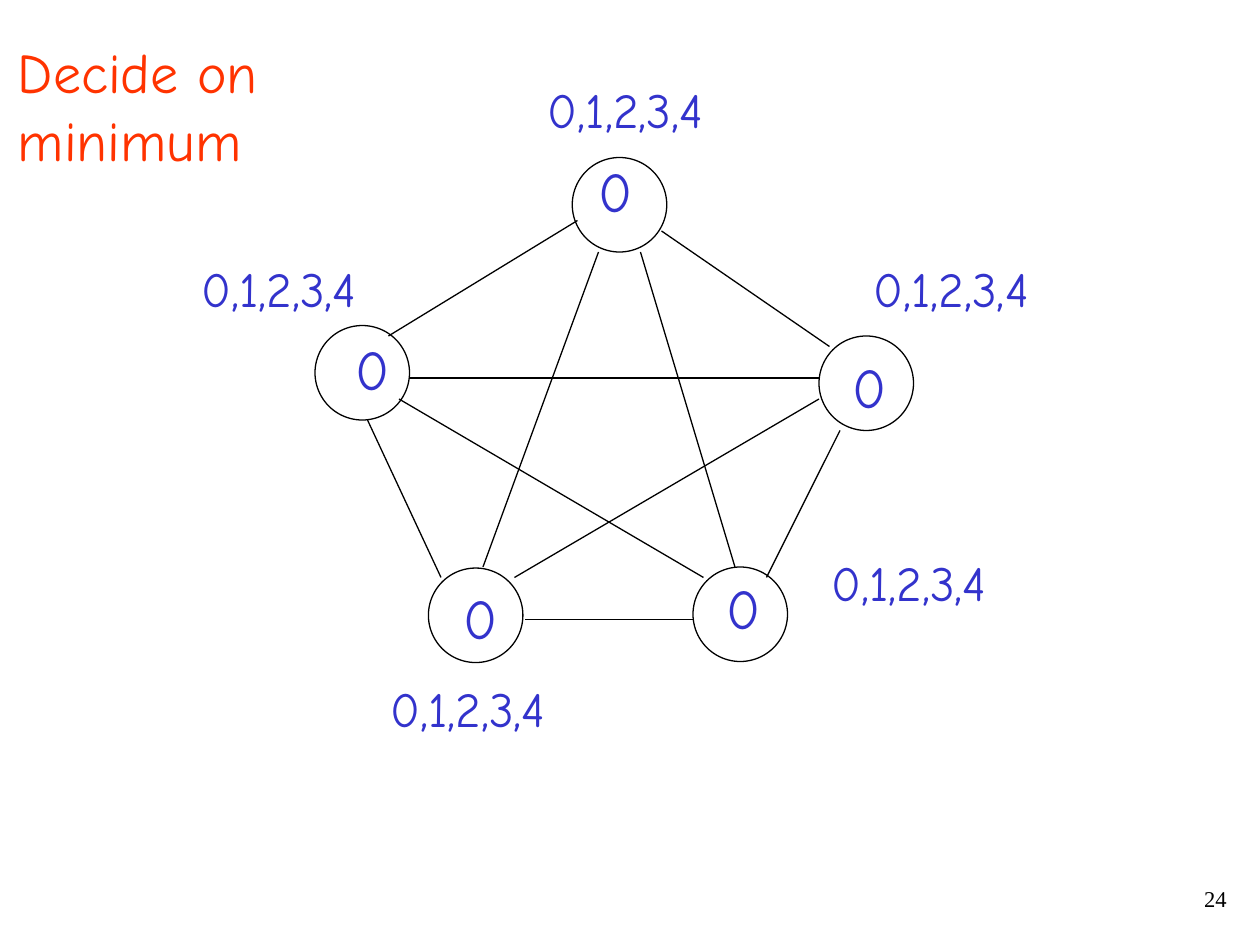
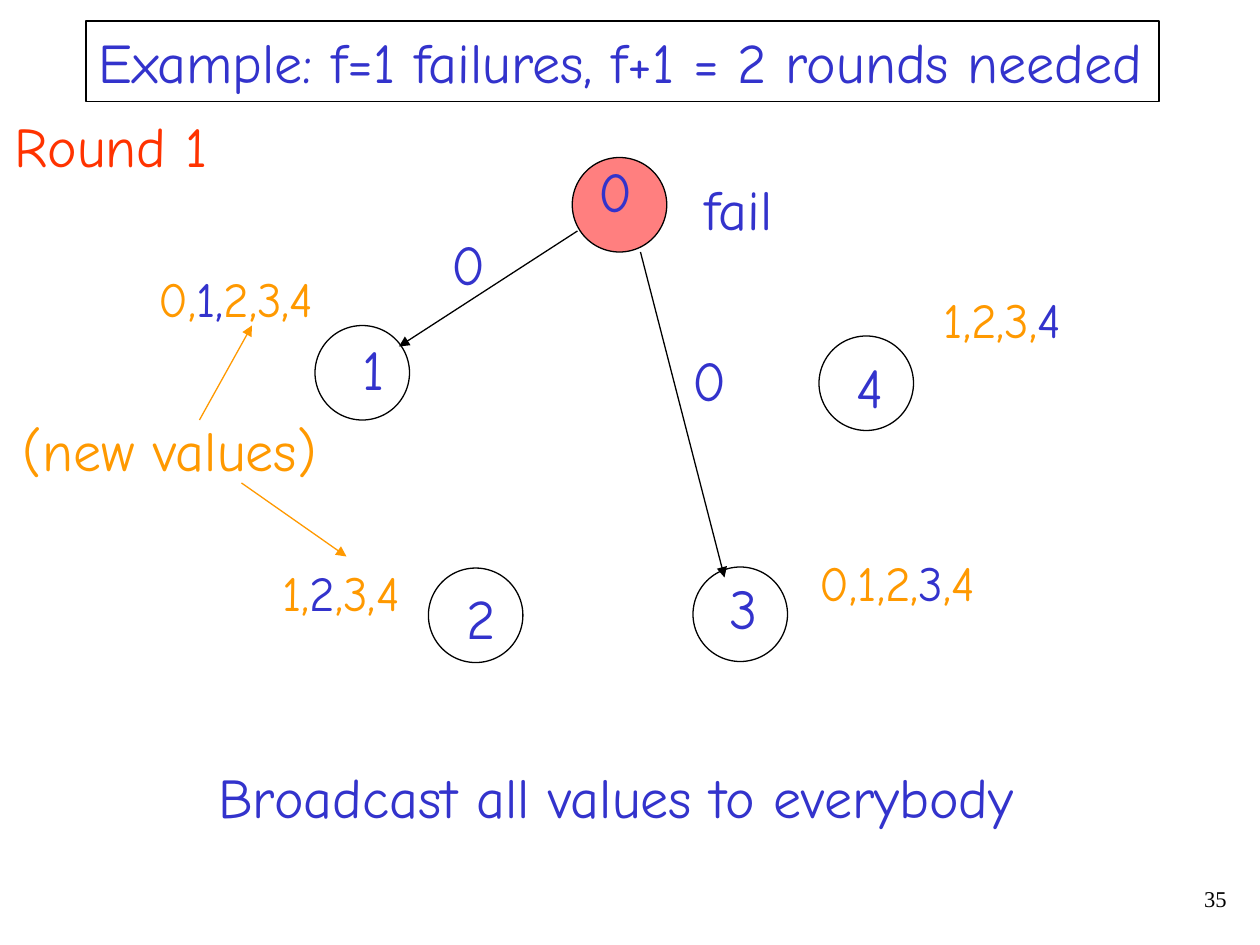
from dataclasses import dataclass
from lxml import etree
from pptx import Presentation
from pptx.dml.color import RGBColor
from pptx.enum import shapes, text
from pptx.oxml import ns
from pptx.util import Cm, Pt


@dataclass(frozen=True)
class Theme:
    blue: str = "3333CC"
    red: str = "FF3300"
    orange: str = "FF9900"
    black: str = "000000"
    failed: str = "FF0000"
    body_font: str = "Comic Neue"
    number_font: str = "Times New Roman"
    large: float = 32
    label: float = 28
    number: float = 12.9
    line: float = 0.75


THEME = Theme()

# All places are in grid steps, twelve to the inch.
STEP_CM = 2.54 / 12
PAGE_SIZE = (120, 90)
NUMBER_BOX = (93, 84, 25, 4)
NODE_SIZE = 9
NODES = {"left": (30, 31), "top": (54.5, 15), "right": (78, 32),
         "low right": (66, 54), "low left": (40.8, 54.1)}
# Centre and top of the value in each node
VALUE_SPOTS = {"left": (35.5, 31.3), "top": (58.6, 14.3), "right": (82.8, 33),
               "low right": (70.8, 54), "low left": (45.8, 55)}
DIGIT_WIDTHS = {"0": 5.6, "1": 4.4, "2": 5.2, "3": 5, "4": 4.9}
BOX_HEIGHTS = {THEME.large: 7.68, THEME.label: 6.84}
LABEL_WIDTHS = {9: 17.2, 7: 13.6}

BLUE, ORANGE, BLACK = THEME.blue, THEME.orange, THEME.black

ALL_VALUES = [("0,1,2,3,4", BLUE)]
DECISION = {
    "number": "24",
    "title": ("Decide on minimum", 0.5, 3, 48.4),
    "values": dict.fromkeys(NODES, "0"),
    "failed": None,
    "framed": [],
    "texts": [],
    "labels": [(ALL_VALUES, left, top) for left, top in
               [(82, 24), (78, 52), (36, 64), (18, 24), (51, 7)]],
    "links": [(37, 32, 55, 21), (63, 22, 79, 33), (80, 41, 73, 55),
              (66, 59, 50, 59), (42, 55, 35, 40), (39, 36, 78, 36),
              (38, 38, 67, 55), (78, 38, 49, 55), (57, 24, 46, 54),
              (61, 24, 70, 54)],
    "arrows": [],
}
ROUND_ONE = {
    "number": "35",
    "title": ("Round 1", 0.2, 10, 20.8),
    "values": {"top": "0", "left": "1", "low left": "2",
               "low right": "3", "right": "4"},
    "failed": "top",
    "framed": [("Example: f=1 failures, f+1 = 2 rounds needed", 8.2, 2, 102.2)],
    "texts": [("0", BLUE, 64.8, 32.3, 5.6), ("0", BLUE, 41.8, 21.3, 5.6),
              ("fail", BLUE, 65.9, 16, 9),
              ("Broadcast all values to everybody", BLUE, 19.6, 72, 78.6),
              ("(new values)", ORANGE, 1, 39, 30.5)],
    "labels": [([("0,", ORANGE), ("1,", BLUE), ("2,3,4", ORANGE)], 13.9, 25),
               ([("1,", ORANGE), ("2", BLUE), (",3,4", ORANGE)], 25.7, 53),
               ([("0,1,2,", ORANGE), ("3", BLUE), (",4", ORANGE)], 76.9, 52),
               ([("1,2,3,", ORANGE), ("4", BLUE)], 88.7, 27)],
    "links": [],
    "arrows": [((55, 22, 38, 33), BLACK), ((61, 24, 69, 55), BLACK),
               ((19, 40, 24, 31), ORANGE), ((23, 46, 33, 53), ORANGE)],
}


def steps(*counts):
    return [Cm(count * STEP_CM) for count in counts]


def apply(target, values):
    for name, value in values.items():
        setattr(target, name, value)


def paint_line(line, color):
    line.color.rgb = RGBColor.from_string(color)
    line.width = Pt(THEME.line)


def write(box, spans, size=THEME.large, font=THEME.body_font, **para_format):
    frame = box.text_frame
    apply(frame, {"word_wrap": False, "vertical_anchor": text.MSO_ANCHOR.TOP,
                  "auto_size": text.MSO_AUTO_SIZE.NONE})
    apply(frame, dict(zip(("margin_left", "margin_top", "margin_right",
                           "margin_bottom"), steps(1.2, 0.6, 1.2, 0.6))))
    para = frame.paragraphs[0]
    apply(para, {"alignment": text.PP_ALIGN.LEFT, "space_before": Pt(size / 4),
                 **para_format})
    for words, color in spans:
        span = para.add_run()
        span.text = words
        apply(span.font, {"name": font, "size": Pt(size)})
        span.font.color.rgb = RGBColor.from_string(color)


def add_text(page, spans, left, top, width, size=THEME.large):
    box = page.shapes.add_textbox(*steps(left, top, width, BOX_HEIGHTS[size]))
    write(box, spans, size)


def add_outline(page, kind, *place):
    shape = page.shapes.add_shape(kind, *steps(*place))
    shape.shadow.inherit = False
    shape.fill.background()
    paint_line(shape.line, BLACK)
    return shape


def add_node(page, spot, value, failed):
    node = add_outline(page, shapes.MSO_SHAPE.OVAL, *NODES[spot],
                       NODE_SIZE, NODE_SIZE)
    if failed:
        node.fill.solid()
        node.fill.fore_color.rgb = RGBColor.from_string(THEME.failed)
        color = node.fill._xPr.find(".//" + ns.qn("a:srgbClr"))
        etree.SubElement(color, ns.qn("a:alpha"), val="50000")
    center, top = VALUE_SPOTS[spot]
    width = DIGIT_WIDTHS[value]
    add_text(page, [(value, BLUE)], center - width / 2, top, width)


def add_line(page, ends, color=BLACK, arrow=False):
    line = page.shapes.add_connector(shapes.MSO_CONNECTOR.STRAIGHT, *steps(*ends))
    paint_line(line.line, color)
    if arrow:
        etree.SubElement(line.line._get_or_add_ln(), ns.qn("a:tailEnd"),
                         type="triangle")
    etree.SubElement(line._element.spPr, ns.qn("a:effectLst"))


def add_page(deck, content):
    page = deck.slides.add_slide(deck.slide_layouts[5])
    title, left, top, width = content["title"]
    place = steps(left, top, width, BOX_HEIGHTS[THEME.large])
    apply(page.shapes.title, dict(zip(("left", "top", "width", "height"), place)))
    write(page.shapes.title, [(title, THEME.red)])

    number = page.shapes.add_textbox(*steps(*NUMBER_BOX))
    write(number, [(content["number"], BLACK)], THEME.number, THEME.number_font,
          alignment=text.PP_ALIGN.RIGHT, line_spacing=0.9, space_before=Pt(0))
    number.text_frame.word_wrap = True

    for spot, value in content["values"].items():
        add_node(page, spot, value, spot == content["failed"])
    for ends in content["links"]:
        add_line(page, ends)
    for ends, color in content["arrows"]:
        add_line(page, ends, color, arrow=True)
    for words, left, top, width in content["framed"]:
        frame = add_outline(page, shapes.MSO_SHAPE.RECTANGLE, left, top, width,
                            BOX_HEIGHTS[THEME.large])
        write(frame, [(words, BLUE)])
    for words, color, *place in content["texts"]:
        add_text(page, [(words, color)], *place)
    for spans, left, top in content["labels"]:
        length = sum(len(words) for words, _ in spans)
        add_text(page, spans, left, top, LABEL_WIDTHS[length], THEME.label)


def main():
    deck = Presentation()
    deck.slide_width, deck.slide_height = steps(*PAGE_SIZE)
    for content in (DECISION, ROUND_ONE):
        add_page(deck, content)
    deck.save("out.pptx")


if __name__ == "__main__":
    main()
